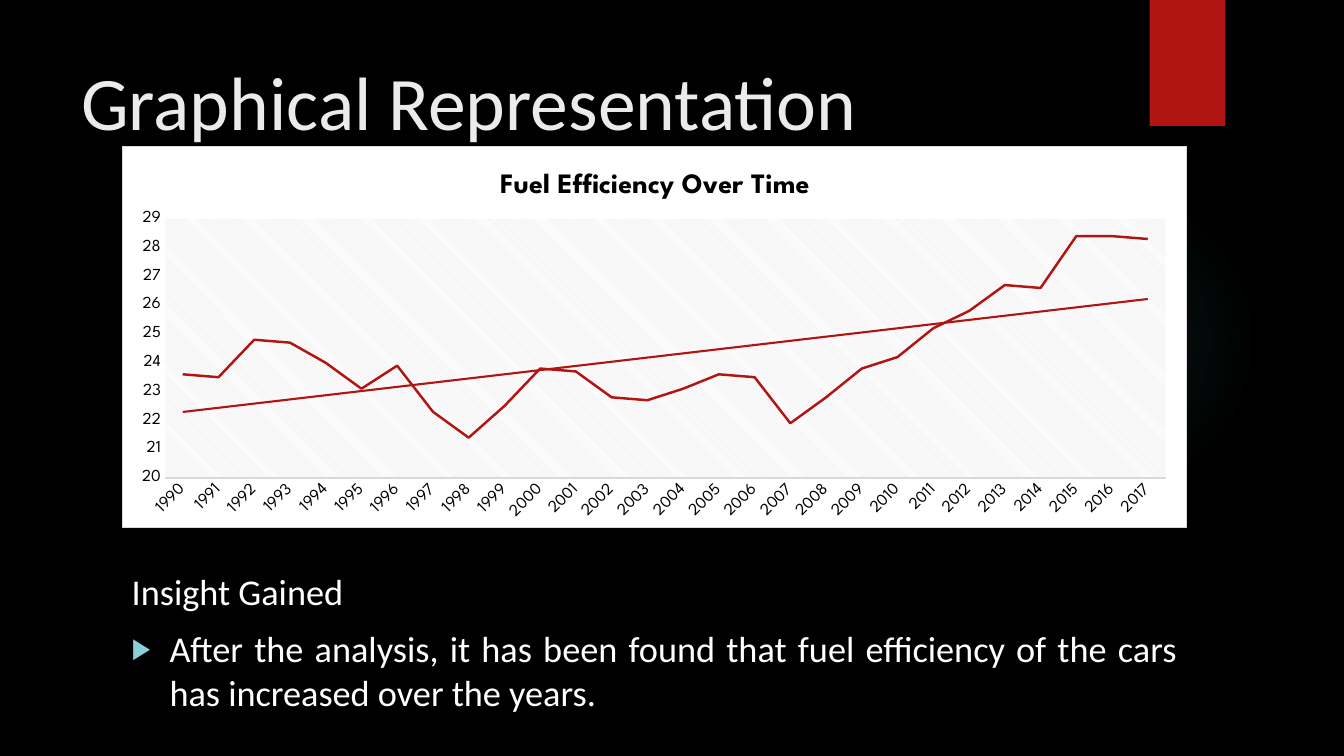
from dataclasses import dataclass

from lxml.etree import _Element
from pptx import Presentation
from pptx.chart.chart import Chart
from pptx.chart.data import CategoryChartData
from pptx.dml.color import RGBColor
from pptx.enum.chart import XL_CHART_TYPE, XL_TICK_MARK
from pptx.enum.shapes import MSO_SHAPE
from pptx.enum.text import MSO_ANCHOR, PP_ALIGN
from pptx.oxml import parse_xml
from pptx.oxml.ns import nsdecls, qn
from pptx.shapes.autoshape import Shape
from pptx.slide import Slide
from pptx.util import Emu, Pt

PX = 9525


@dataclass(frozen=True)
class Theme:
    black: str = "000000"
    white: str = "FFFFFF"
    heading: str = "EBEBEB"
    red: str = "B01513"
    glow: str = "50B9C1"
    bullet: str = "8AD0D6"
    grey: str = "D9D9D9"
    text_font: str = "Calibri"
    chart_font: str = "League Spartan"
    heading_size: float = 54
    body_size: float = 25.9
    chart_title_size: float = 20
    axis_size: float = 12


@dataclass(frozen=True)
class Box:
    left: int
    top: int
    width: int
    height: int

    def emu(self) -> tuple[Emu, ...]:
        return tuple(Emu(side * PX) for side in (self.left, self.top, self.width, self.height))


@dataclass(frozen=True)
class Line:
    text: str
    size: float
    color: str
    space_before: int = 0
    bulleted: bool = False


@dataclass(frozen=True)
class TextBlock:
    box: Box
    lines: tuple[Line, ...]


THEME = Theme()
GLOW = Box(903, 176, 296, 296)
RIBBON = Box(1095, 0, 72, 120)
CHART = Box(116, 139, 1015, 364)
BLOCKS = (
    TextBlock(Box(68, 48, 988, 90), (
        Line("Graphical Representation", THEME.heading_size, THEME.heading),
    )),
    TextBlock(Box(116, 537, 1015, 150), (
        Line("Insight Gained", THEME.body_size, THEME.white),
        Line("After the analysis, it has been found that fuel efficiency of the cars "
             "has increased over the years.", THEME.body_size, THEME.white, 10, True),
    )),
)
FIRST_YEAR = 1990
EFFICIENCY = (
    23.6, 23.5, 24.8, 24.7, 24, 23.1, 23.9, 22.3, 21.4, 22.5, 23.8, 23.7, 22.8, 22.7,
    23.1, 23.6, 23.5, 21.9, 22.8, 23.8, 24.2, 25.2, 25.8, 26.7, 26.6, 28.4, 28.4, 28.3,
)


def rgb(color: str) -> RGBColor:
    return RGBColor.from_string(color)


def apply(target: object, formats: dict[str, object]) -> None:
    for name, value in formats.items():
        setattr(target, name, value)


def style_font(font: object, name: str, size: float, color: str, bold: bool = False) -> None:
    apply(font, {"name": name, "size": Pt(size), "bold": bold})
    font.color.rgb = rgb(color)


def add_plain_shape(page: Slide, kind: MSO_SHAPE, box: Box) -> Shape:
    shape = page.shapes.add_shape(kind, *box.emu())
    shape.shadow.inherit = False
    shape.line.fill.background()
    return shape


def add_glow(page: Slide) -> None:
    shape = add_plain_shape(page, MSO_SHAPE.OVAL, GLOW)
    stops = "".join(
        f'<a:gs pos="{place * 1000}"><a:srgbClr val="{THEME.glow}">'
        f'<a:alpha val="{alpha * 1000}"/></a:srgbClr></a:gs>'
        for place, alpha in ((0, 7), (36, 6), (69, 0), (100, 0))
    )
    gradient = parse_xml(
        f'<a:gradFill {nsdecls("a")} rotWithShape="1"><a:gsLst>{stops}</a:gsLst>'
        '<a:path path="circle"><a:fillToRect l="50000" t="50000" r="50000" b="50000"/>'
        '</a:path></a:gradFill>'
    )
    shape.element.spPr.find(qn("a:prstGeom")).addnext(gradient)


def add_ribbon(page: Slide) -> None:
    shape = add_plain_shape(page, MSO_SHAPE.RECTANGLE, RIBBON)
    shape.fill.solid()
    shape.fill.fore_color.rgb = rgb(THEME.red)


def add_bullet(properties: _Element) -> None:
    apply_indent = {"marL": str(36 * PX), "indent": str(-36 * PX)}
    for name, value in apply_indent.items():
        properties.set(name, value)
    for xml in (
        f'<a:buClr {nsdecls("a")}><a:srgbClr val="{THEME.bullet}"/></a:buClr>',
        f'<a:buSzPct {nsdecls("a")} val="80000"/>',
        f'<a:buFont {nsdecls("a")} typeface="{THEME.text_font}"/>',
        f'<a:buChar {nsdecls("a")} char="▶"/>',
    ):
        properties.append(parse_xml(xml))


def add_text(page: Slide, block: TextBlock) -> None:
    frame = page.shapes.add_textbox(*block.box.emu()).text_frame
    apply(frame, {"word_wrap": True, "vertical_anchor": MSO_ANCHOR.TOP})
    for index, line in enumerate(block.lines):
        para = frame.add_paragraph() if index else frame.paragraphs[0]
        apply(para, {"alignment": PP_ALIGN.JUSTIFY, "space_before": Pt(line.space_before)})
        span = para.add_run()
        span.text = line.text
        style_font(span.font, THEME.text_font, line.size, line.color)
        if line.bulleted:
            add_bullet(para._p.get_or_add_pPr())


def set_layout(parent: _Element, index: int, target: str, **places: float) -> None:
    for old in parent.findall(qn("c:layout")):
        parent.remove(old)
    modes = "".join(f'<c:{axis}Mode val="edge"/>' for axis in "xy")
    values = "".join(f'<c:{name} val="{value}"/>' for name, value in places.items())
    parent.insert(index, parse_xml(
        f'<c:layout {nsdecls("c")}><c:manualLayout>{target}{modes}{values}'
        '</c:manualLayout></c:layout>'
    ))


def style_axes(chart: Chart) -> None:
    for axis in (chart.category_axis, chart.value_axis):
        apply(axis, {"has_major_gridlines": False, "major_tick_mark": XL_TICK_MARK.NONE,
                     "minor_tick_mark": XL_TICK_MARK.NONE})
        style_font(axis.tick_labels.font, THEME.chart_font, THEME.axis_size, THEME.black)
    years, scale = chart.category_axis, chart.value_axis
    years.format.line.color.rgb = rgb(THEME.grey)
    years.format.line.width = Pt(0.75)
    years._element.find(qn("c:txPr")).find(qn("a:bodyPr")).set("rot", "-2700000")
    apply(scale, {"minimum_scale": 20, "maximum_scale": 29, "major_unit": 1})
    apply(scale.tick_labels, {"number_format": "#,##0", "number_format_is_linked": False})
    scale.format.line.fill.background()


def line_xml(color: str, points: float) -> str:
    return (f'<a:ln w="{Pt(points)}"><a:solidFill><a:srgbClr val="{color}"/>'
            '</a:solidFill></a:ln>')


def add_efficiency_chart(page: Slide) -> None:
    data = CategoryChartData()
    data.categories = [str(FIRST_YEAR + step) for step in range(len(EFFICIENCY))]
    data.add_series("Series 1", EFFICIENCY)
    chart = page.shapes.add_chart(XL_CHART_TYPE.LINE, *CHART.emu(), data).chart
    apply(chart, {"has_legend": False, "has_title": True})
    style_font(chart.font, THEME.chart_font, 10, THEME.white)
    para = chart.chart_title.text_frame.paragraphs[0]
    span = para.add_run()
    span.text = "Fuel Efficiency Over Time"
    style_font(span.font, THEME.chart_font, THEME.chart_title_size, THEME.black, True)
    style_axes(chart)

    plot = chart.plots[0]
    plot.vary_by_categories = False
    series = plot.series[0]
    series.smooth = False
    series.format.line.color.rgb = rgb(THEME.red)
    series.format.line.width = Pt(1.75)
    spaces = nsdecls("c", "a")
    series._element.find(qn("c:cat")).addprevious(parse_xml(
        f'<c:trendline {spaces}><c:spPr>{line_xml(THEME.red, 1.5)}</c:spPr>'
        '<c:trendlineType val="linear"/><c:dispRSqr val="0"/><c:dispEq val="0"/></c:trendline>'
    ))
    root = chart.element.find(qn("c:chart"))
    root.addnext(parse_xml(
        f'<c:spPr {spaces}><a:solidFill><a:srgbClr val="{THEME.white}"/></a:solidFill>'
        f'{line_xml(THEME.grey, 0.75)}</c:spPr>'
    ))
    area = root.find(qn("c:plotArea"))
    area.append(parse_xml(
        f'<c:spPr {spaces}><a:pattFill prst="ltDnDiag"><a:fgClr><a:srgbClr val="{THEME.grey}"/>'
        f'</a:fgClr><a:bgClr><a:srgbClr val="{THEME.white}"/></a:bgClr></a:pattFill></c:spPr>'
    ))
    set_layout(area, 0, '<c:layoutTarget val="inner"/>', x=0.04, y=0.19, w=0.94, h=0.68)
    set_layout(root.find(qn("c:title")), 1, "", x=0.35, y=0.05)


def main() -> None:
    deck = Presentation()
    apply(deck, {"slide_width": Emu(1280 * PX), "slide_height": Emu(720 * PX)})
    page = deck.slides.add_slide(deck.slide_layouts[6])
    page.background.fill.solid()
    page.background.fill.fore_color.rgb = rgb(THEME.black)
    add_glow(page)
    add_ribbon(page)
    for block in BLOCKS:
        add_text(page, block)
    add_efficiency_chart(page)
    deck.save("out.pptx")


if __name__ == "__main__":
    main()
